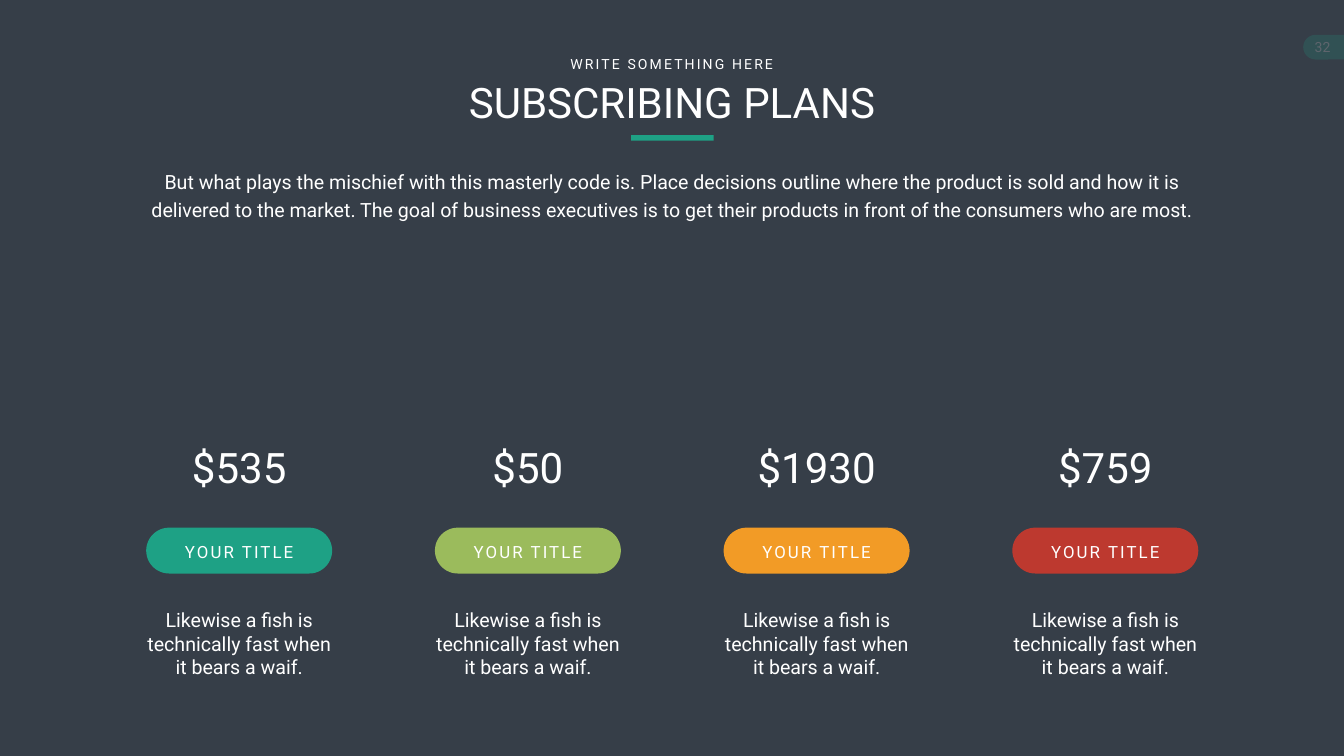
from lxml import etree
from pptx import Presentation
from pptx.dml.color import RGBColor
from pptx.enum.shapes import MSO_SHAPE
from pptx.enum.text import MSO_ANCHOR, MSO_AUTO_SIZE, PP_ALIGN
from pptx.oxml.ns import qn
from pptx.util import Pt

RECT, PILL, DELAY = MSO_SHAPE.RECTANGLE, MSO_SHAPE.ROUNDED_RECTANGLE, MSO_SHAPE.FLOWCHART_DELAY
TOP, FIXED, CENTER = MSO_ANCHOR.TOP, MSO_AUTO_SIZE.NONE, PP_ALIGN.CENTER

DARK = RGBColor(0x36, 0x3E, 0x48)
WHITE = RGBColor(0xFF, 0xFF, 0xFF)
TEAL = RGBColor(0x1E, 0xA1, 0x85)
GREEN = RGBColor(0x9B, 0xBB, 0x5C)
ORANGE = RGBColor(0xF2, 0x9B, 0x26)
RED = RGBColor(0xBD, 0x39, 0x2F)

FRAME = {
    "auto_size": FIXED, "vertical_anchor": TOP,
    "margin_left": Pt(7.2), "margin_right": Pt(7.2),
    "margin_top": Pt(3.6), "margin_bottom": Pt(3.6),
}

deck = Presentation()
deck.slide_width, deck.slide_height = Pt(1919.5), Pt(1080)
slide = deck.slides.add_slide(deck.slide_layouts[5])
slide.background.fill.solid()
slide.background.fill.fore_color.rgb = DARK


def block(kind, left, top, width, height, color):
    shape = slide.shapes.add_shape(kind, Pt(left), Pt(top), Pt(width), Pt(height))
    shape.shadow.inherit = False
    shape.fill.solid()
    shape.fill.fore_color.rgb = color
    shape.line.fill.background()
    return shape


def write(words, left, top, width, height, size, wrap=True, track=0, lead=None, box=None):
    place = {"left": Pt(left), "top": Pt(top), "width": Pt(width), "height": Pt(height)}
    box = box or slide.shapes.add_textbox(*place.values())
    frame = box.text_frame
    frame.text = words
    para = frame.paragraphs[0]
    run = para.runs[0]
    looks = (
        (box, place),
        (frame, FRAME | {"word_wrap": wrap}),
        (para, {"alignment": CENTER, "line_spacing": lead}),
        (run.font, {"name": "Roboto", "size": Pt(size)}),
    )
    for item, look in looks:
        for key, value in look.items():
            setattr(item, key, value)
    run.font.color.rgb = WHITE
    if track:
        run._r.get_or_add_rPr().set("spc", str(track * 100))


# Page badge
block(DELAY, 1861.2, 49.7, 35.3, 35.3, TEAL).rotation = 180
block(RECT, 1896.5, 49.7, 23, 35.3, TEAL)
write("32", 1864, 51.5, 50, 32, 20, wrap=False)

# Translucent veil over the upper part
veil = block(RECT, 0, 0, 1919.5, 787, DARK)
tint = veil.fill._xPr.find(qn("a:solidFill"))[0]
etree.SubElement(tint, qn("a:alpha")).set("val", "80000")

# Heading
block(RECT, 901.4, 193, 118, 8, TEAL)
title = slide.shapes.title
veil.element.addnext(title.element)
write("SUBSCRIBING PLANS", 603.4, 105.8, 713, 80, 60, box=title)
write("WRITE SOMETHING HERE", 802.8, 75.6, 313.2, 31.7, 20, wrap=False, track=3)
write("But what plays the mischief with this masterly code is. Place decisions outline "
      "where the product is sold and how it is delivered to the market. The goal of "
      "business executives is to get their products in front of the consumers who are most.",
      206.6, 231.8, 1505.5, 86.4, 28, lead=Pt(40.8))

# Plans: price, width of its box, colour
PLANS = [("$535", 155, TEAL), ("$50", 120, GREEN), ("$1930", 190, ORANGE), ("$759", 155, RED)]
FIRST, STEP = 341.6, 412.35

for i, (price, wide, color) in enumerate(PLANS):
    mid = FIRST + i * STEP
    write(price, mid - wide / 2, 627.1, wide, 80, 60, wrap=False)
    block(PILL, mid - 132.8, 753.8, 265.6, 65.5, color).adjustments[0] = 0.5
    write("YOUR TITLE", mid - 88.5, 769.7, 177, 36, 24, wrap=False, track=3)
    write("Likewise a fish is technically fast when it bears a waif.",
          mid - 148.3, 865.4, 296.6, 108.7, 28)

deck.save("out.pptx")
